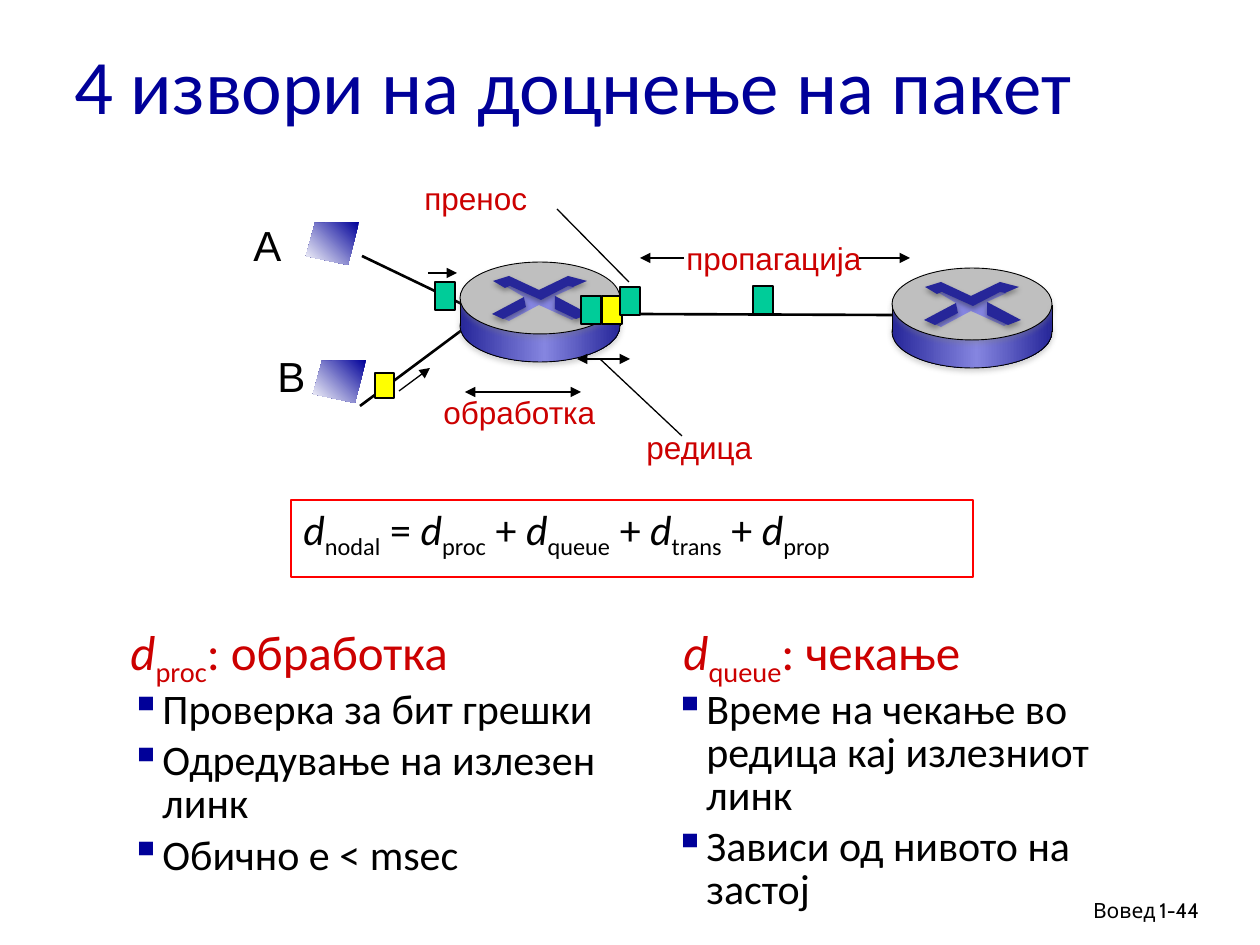
import pptx
import pptx.util
import pptx.dml.color
import pptx.enum.shapes
import pptx.enum.text
import pptx.oxml.ns
import lxml.etree

RGB = pptx.dml.color.RGBColor
KIND = pptx.enum.shapes.MSO_SHAPE
ALIGN = pptx.enum.text.PP_ALIGN
qn = pptx.oxml.ns.qn
UNIT = 914400 / 126  # EMU in one px

BLACK = RGB(0, 0, 0)
WHITE = RGB(255, 255, 255)
GRAY = RGB(0x80, 0x80, 0x80)
SILVER = RGB(0xBF, 0xBF, 0xBF)
NAVY = RGB(0, 0, 0x99)
RED = RGB(0xCC, 0, 0)
FRAME = RGB(0xFF, 0, 0)
GREEN = RGB(0, 0xCC, 0x99)
YELLOW = RGB(0xFF, 0xFF, 0)
DARK = RGB(0x26, 0x26, 0x99)
LIGHT = RGB(0x85, 0x85, 0xE0)
METAL = [(0, DARK), (53, LIGHT), (100, DARK)]
SCREEN = [(0, NAVY), (100, WHITE)]


def delay(name):
    return [("d", "i"), (name, "sub")]


TITLE = "4 извори на доцнење на пакет"
FORMULA = (delay("nodal") + [(" = ", "")] + delay("proc") + [(" + ", "")]
           + delay("queue") + [(" + ", "")] + delay("trans")
           + [(" + ", "")] + delay("prop"))
# box, left margin of the heading, heading, bullet points
COLUMNS = [
    ((118, 619, 525, 226), 0, delay("proc") + [(": обработка", "")],
     ["Проверка за бит грешки", "Одредување на излезен линк",
      "Обично е < msec"]),
    ((662, 619, 525, 301), 9, delay("queue") + [(": чекање", "")],
     ["Време на чекање во редица кај излезниот линк",
      "Зависи од нивото на застој"]),
]
LABELS = [
    ("пренос", (412, 173, 130, 50), 18, RED),
    ("пропагација", (674, 233, 202, 50), 18, RED),
    ("обработка", (431, 387, 179, 50), 18, RED),
    ("редица", (634, 422, 132, 50), 18, RED),
    ("A", (241, 213, 55, 63), 24, BLACK),
    ("B", (265, 344, 53, 63), 24, BLACK),
]
FOOTER = [("Вовед", (769, 891, 399, 39), ALIGN.RIGHT),
          ("1-44", (1147, 891, 93, 38), ALIGN.LEFT)]
LINKS = [(362, 256, 464, 305), (626, 314, 893, 315), (360, 406, 462, 330)]
POINTERS = [(682, 436, 600, 359), (557, 209, 629, 282)]
ARROWS = [(859, 258, 910, 258), (684, 258, 640, 258),
          (428, 273, 457, 273), (399, 391, 430, 368)]
SPANS = [(581, 392, 465, 392), (630, 359, 577, 359)]
PACKETS = [((753, 286, 20, 28), GREEN), ((581, 296, 20, 28), GREEN),
           ((602, 296, 20, 28), YELLOW), ((620, 287, 20, 28), GREEN),
           ((435, 282, 20, 28), GREEN), ((375, 373, 19, 25), YELLOW)]
HOSTS = [(306, 222), (313, 360)]
HOST = [(53, 0), (9, 1), (0, 34), (42, 43)]
ROUTERS = [(460, 262), (892, 268)]
CROSS = [(79, 43), (49, 59), (40, 55), (66, 45), (64, 35), (47, 25), (53, 24),
         (79, 37), (107, 23), (115, 25), (95, 34), (98, 48), (118, 55),
         (112, 58)]
BLADES = [
    [(33, 19), (49, 14), (79, 28), (108, 14), (127, 19), (113, 25),
     (108, 24), (81, 38), (50, 24), (45, 26)],
    [(95, 34), (129, 52), (116, 57), (95, 47)],
    [(64, 35), (66, 45), (43, 57), (32, 52)],
]


def emu(*vals):
    return [round(v * UNIT) for v in vals]


def add(parent, tag, **attrs):
    node = lxml.etree.SubElement(parent, qn("a:" + tag))
    for key, val in attrs.items():
        node.set(key, str(val))
    return node


def shade(shape, color=None, alpha=35):
    """Give the shape a soft shadow below, or none without a color."""
    props = shape._element.spPr
    for old in props.findall(qn("a:effectLst")):
        props.remove(old)
    effect = add(props, "effectLst")
    if color is not None:
        drop = add(effect, "outerShdw", blurRad=39370, dist=22860,
                   dir=5400000, rotWithShape=0)
        add(add(drop, "srgbClr", val=color), "alpha", val=alpha * 1000)


def paint(shape, fill=None, line=None, width=0.75, angle=0, shadow=None):
    """Fill with one color, or with (percent, color) stops at an angle."""
    if fill is None:
        shape.fill.background()
    elif isinstance(fill, list):
        shape.fill.gradient()
        shape.fill.gradient_angle = angle
        stops = shape._element.spPr.find(".//" + qn("a:gsLst"))
        for old in list(stops):
            stops.remove(old)
        for place, color in fill:
            add(add(stops, "gs", pos=place * 1000), "srgbClr", val=color)
    else:
        shape.fill.solid()
        shape.fill.fore_color.rgb = fill
    if line is None:
        shape.line.fill.background()
    else:
        shape.line.color.rgb = line
        shape.line.width = pptx.util.Pt(width)
    shade(shape, shadow)
    return shape


def block(slide, kind, box, **look):
    return paint(slide.shapes.add_shape(kind, *emu(*box)), **look)


def outline(slide, x, y, points, **look):
    spots = [(x + dx, y + dy) for dx, dy in points]
    build = slide.shapes.build_freeform(*spots[0], scale=UNIT)
    build.add_line_segments(spots[1:], close=True)
    return paint(build.convert_to_shape(), **look)


def wire(slide, ends, width=0.75, heads=(), shadow=None):
    line = slide.shapes.add_connector(
        pptx.enum.shapes.MSO_CONNECTOR.STRAIGHT, *emu(*ends))
    line.line.color.rgb = BLACK
    line.line.width = pptx.util.Pt(width)
    for head in heads:
        add(line.line._get_or_add_ln(), head, type="triangle")
    shade(line, shadow, 38)


def write(frame, text, size=18, color=BLACK, font="Calibri", align=ALIGN.LEFT,
          space=None, before=0, left=0, hang=0, bullet=None):
    """Add a paragraph of plain text or of (text, style) runs."""
    para = frame.add_paragraph() if frame.text else frame.paragraphs[0]
    para.alignment = align
    para.space_before = pptx.util.Pt(before)
    if space:
        para.line_spacing = space
    props = para._p.get_or_add_pPr()
    props.set("marL", str(emu(left)[0]))
    props.set("indent", str(emu(-hang)[0]))
    if bullet:
        add(add(props, "buClr"), "srgbClr", val=NAVY)
        add(props, "buChar", char=bullet)
    for part, style in [(text, "")] if isinstance(text, str) else text:
        run = para.add_run()
        run.text = part
        run.font.name = font
        run.font.size = pptx.util.Pt(size)
        run.font.color.rgb = color
        run.font.italic = style == "i"
        if style == "sub":
            run.font._element.set("baseline", "-25000")


def textbox(slide, box, wrap=True):
    frame = slide.shapes.add_textbox(*emu(*box)).text_frame
    frame.word_wrap = wrap
    return frame


def router(slide, x, y):
    rim = dict(line=BLACK, width=0.5, shadow=GRAY)
    block(slide, KIND.OVAL, (x, y + 28, 160, 72), fill=METAL, **rim)
    block(slide, KIND.RECTANGLE, (x, y + 37, 160, 26), fill=METAL)
    block(slide, KIND.OVAL, (x, y, 160, 72), fill=SILVER, **rim)
    outline(slide, x, y, CROSS, fill=LIGHT)
    for blade in BLADES:
        outline(slide, x, y, blade, fill=DARK, shadow=BLACK)
    for side in (x, x + 160):
        wire(slide, (side, y + 64, side, y + 37), width=0.5, shadow=GRAY)


def main():
    deck = pptx.Presentation()
    deck.slide_width, deck.slide_height = emu(1260, 945)
    slide = deck.slides.add_slide(deck.slide_layouts[5])

    title = slide.shapes.title
    title.left, title.top, title.width, title.height = emu(62, 28, 1071, 112)
    title.text_frame.vertical_anchor = pptx.enum.text.MSO_ANCHOR.MIDDLE
    write(title.text_frame, TITLE, size=44, color=NAVY)

    for ends in LINKS:
        wire(slide, ends, width=1.5)
    for spot in ROUTERS:
        router(slide, *spot)
    for spot in HOSTS:
        outline(slide, *spot, HOST, fill=SCREEN, angle=225)
    for box, color in PACKETS:
        block(slide, KIND.RECTANGLE, box, fill=color, line=BLACK)
    for group, heads in ((POINTERS, ()), (ARROWS, ["tailEnd"]),
                         (SPANS, ["headEnd", "tailEnd"])):
        for ends in group:
            wire(slide, ends, heads=heads)
    for text, box, size, color in LABELS:
        write(textbox(slide, box, wrap=False), text, size=size, color=color,
              font="Arial")

    panel = block(slide, KIND.RECTANGLE, (291, 500, 682, 77), line=FRAME,
                  width=1.5)
    panel.text_frame.vertical_anchor = pptx.enum.text.MSO_ANCHOR.TOP
    write(panel.text_frame, FORMULA, size=24, space=0.85)

    for box, left, head, points in COLUMNS:
        frame = textbox(slide, box)
        write(frame, head, size=28, color=RED, space=0.85, left=left)
        for point in points:
            write(frame, point, size=24, space=0.85, before=4.8, left=32,
                  hang=32, bullet="▪")
    for text, box, align in FOOTER:
        write(textbox(slide, box), text, size=12, font="Cabin", align=align)
    deck.save("out.pptx")


if __name__ == "__main__":
    main()
